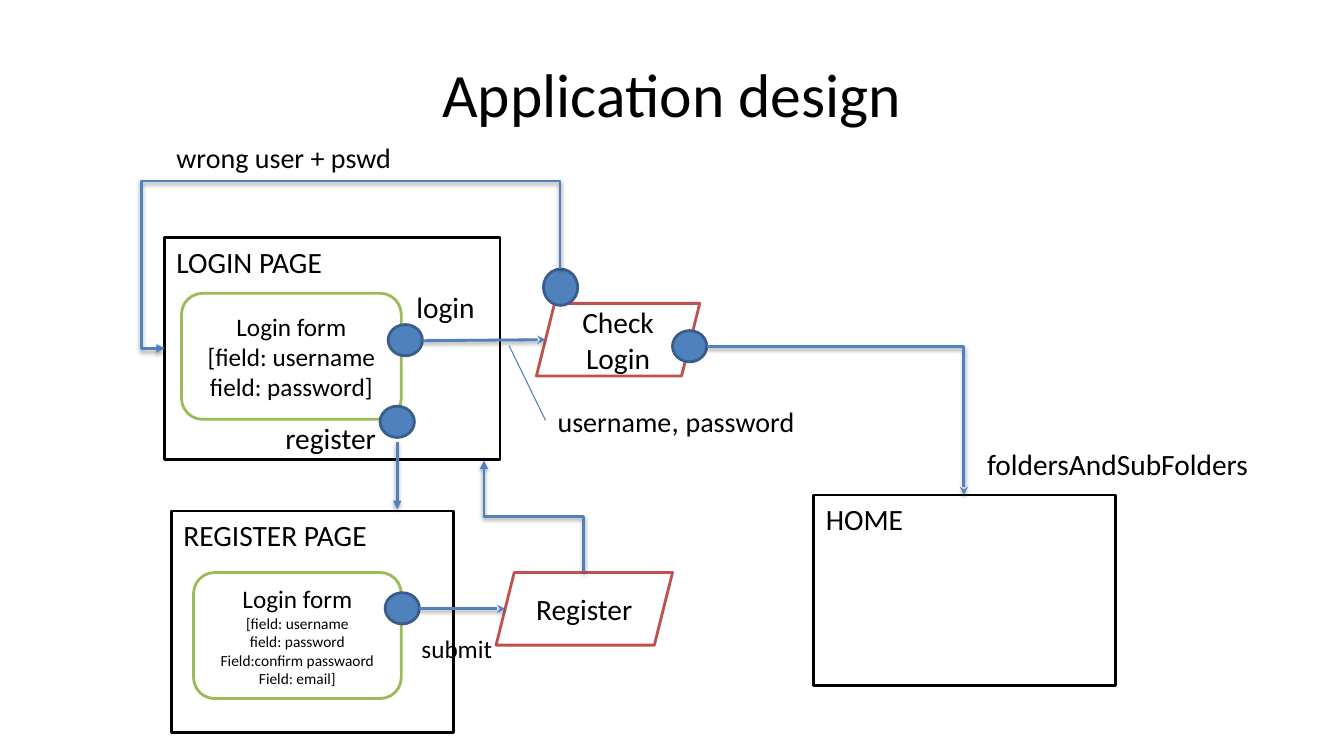
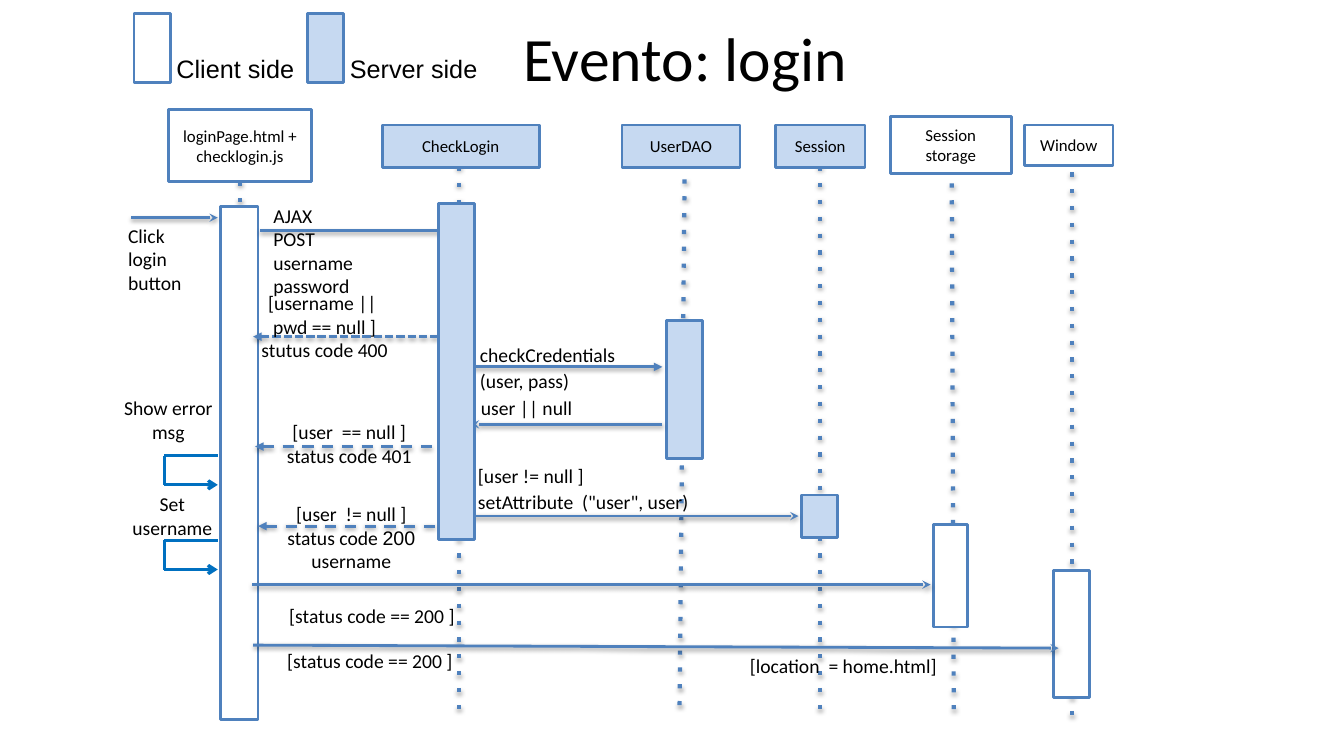
from dataclasses import dataclass
from typing import Any

from lxml.etree import SubElement
from pptx import Presentation
from pptx.dml.color import RGBColor
from pptx.enum.shapes import MSO_CONNECTOR, MSO_SHAPE
from pptx.enum.text import MSO_ANCHOR, PP_ALIGN
from pptx.oxml.ns import qn
from pptx.util import Inches, Pt

COLUMNS, ROWS, CELL = 133.3, 75, Inches(0.1)


@dataclass(frozen=True)
class Theme:
    """Colours, fonts and type sizes shared by the slides."""
    ink: str = "000000"
    paper: str = "FFFFFF"
    blue: str = "4F81BD"
    blue_edge: str = "395E89"
    blue_thin: str = "4A7DBA"
    server: str = "C6D9F1"
    green: str = "9BBB59"
    red: str = "C0504D"
    loop: str = "0070C0"
    font: str = "Calibri"
    legend_font: str = "Arial"
    title: int = 44
    page: int = 21
    note: int = 20
    form: int = 18
    message: int = 14
    head: int = 12
    detail: int = 11
    stroke: float = 2


@dataclass(frozen=True)
class Area:
    """A box on the slide grid that holds parts."""
    shapes: Any
    left: float
    top: float
    width: float
    height: float

    def inner(self, left, top, width, height):
        """Return a box placed relative to this one."""
        return Area(self.shapes, self.left + left, self.top + top, width, height)

    def point(self, x, y):
        """Return a relative grid point as slide lengths."""
        return round((self.left + x) * CELL), round((self.top + y) * CELL)

    def bounds(self):
        """Return position and size as slide lengths."""
        return *self.point(0, 0), round(self.width * CELL), round(self.height * CELL)


@dataclass(frozen=True)
class Span:
    """A piece of text with its own size or font."""
    text: str
    size: float = 0
    font: str = ""


THEME = Theme()


def rgb(colour):
    """Turn a hex string into a colour."""
    return RGBColor.from_string(colour)


def write(shape, paragraphs, size, align=PP_ALIGN.LEFT, anchor=MSO_ANCHOR.TOP, font=THEME.font, gap=0):
    """Fill a shape with paragraphs, run by run."""
    frame = shape.text_frame
    frame.word_wrap = True
    frame.vertical_anchor = anchor
    frame.margin_left = frame.margin_right = Inches(0.12)
    frame.margin_top = frame.margin_bottom = Inches(0.06)
    for index, content in enumerate(paragraphs):
        paragraph = frame.add_paragraph() if index else frame.paragraphs[0]
        paragraph.alignment = align
        paragraph.space_after = Pt(gap)
        for span in [Span(content)] if isinstance(content, str) else content:
            run = paragraph.add_run()
            run.text = span.text
            run.font.size = Pt(span.size or size)
            run.font.name = span.font or font
            run.font.color.rgb = rgb(THEME.ink)


def label(area, paragraphs, size, **style):
    """Place free text in the area."""
    write(area.shapes.add_textbox(*area.bounds()), paragraphs, size, **style)


def block(area, preset, fill, edge, paragraphs=(), size=THEME.page,
          align=PP_ALIGN.CENTER, anchor=MSO_ANCHOR.MIDDLE):
    """Fill the area with an outlined shape and its text."""
    shape = area.shapes.add_shape(preset, *area.bounds())
    shape.shadow.inherit = False
    shape.fill.solid()
    shape.fill.fore_color.rgb = rgb(fill)
    shape.line.color.rgb = rgb(edge)
    shape.line.width = Pt(THEME.stroke)
    write(shape, paragraphs, size, align, anchor)


def line(area, start, end, colour=THEME.blue, width=THEME.stroke, dash="", head="", tail="",
         shadow=True, kind=MSO_CONNECTOR.STRAIGHT):
    """Draw a connector between two points of the area."""
    connector = area.shapes.add_connector(kind, *area.point(*start), *area.point(*end))
    connector.line.color.rgb = rgb(colour)
    connector.line.width = Pt(width)
    properties = connector._element.spPr
    stroke = properties.find(qn("a:ln"))
    if dash:
        SubElement(stroke, qn("a:prstDash"), val=dash)
    for tag, arrow in (("a:headEnd", head), ("a:tailEnd", tail)):
        if arrow:
            SubElement(stroke, qn(tag), type=arrow)
    effects = SubElement(properties, qn("a:effectLst"))
    if shadow:
        outer = SubElement(effects, qn("a:outerShdw"), blurRad="40000", dist="20000",
                           dir="5400000", rotWithShape="0")
        tint = SubElement(outer, qn("a:srgbClr"), val=THEME.ink)
        SubElement(tint, qn("a:alpha"), val="38000")
    return connector


def elbow(area, start, end, bends, tail, turn=0, adjustments=()):
    """Draw a bent connector, turned by whole degrees."""
    connector = line(area, start, end, tail=tail, kind=MSO_CONNECTOR.ELBOW)
    properties = connector._element.spPr
    properties.find(qn("a:xfrm")).set("rot", str(turn * 60000))
    geometry = properties.find(qn("a:prstGeom"))
    geometry.set("prst", f"bentConnector{bends}")
    for number, share in enumerate(adjustments, 1):
        SubElement(geometry.find(qn("a:avLst")), qn("a:gd"), name=f"adj{number}",
                   fmla=f"val {round(share * 100000)}")


def title(area, text):
    """Write the centred slide title."""
    label(area, [text], THEME.title, align=PP_ALIGN.CENTER, anchor=MSO_ANCHOR.MIDDLE)


def page(area, name):
    """Draw a page frame with its name at the top left."""
    block(area, MSO_SHAPE.RECTANGLE, THEME.paper, THEME.ink, [name],
          align=PP_ALIGN.LEFT, anchor=MSO_ANCHOR.TOP)


def form(area, paragraphs):
    """Draw a rounded input form."""
    block(area, MSO_SHAPE.ROUNDED_RECTANGLE, THEME.paper, THEME.green, paragraphs, THEME.form)


def action(area, paragraphs):
    """Draw a server action."""
    block(area, MSO_SHAPE.PARALLELOGRAM, THEME.paper, THEME.red, paragraphs)


def event(area, left, top, height=3.1):
    """Draw an event dot."""
    block(area.inner(left, top, 3.4, height), MSO_SHAPE.OVAL, THEME.blue, THEME.blue_edge)


def login_page(area):
    """Draw the login page with its form and two events."""
    page(area, "LOGIN PAGE")
    form(area.inner(1.7, 5.5, 21.8, 12.5), ["Login form", "[field: username", "field: password]"])
    event(area, 22.2, 8.6)
    event(area, 21.4, 16.7)
    label(area.inner(23.8, 4.5, 9.9, 4), ["login"], THEME.page)
    label(area.inner(10.8, 17.5, 13.7, 4.5), ["register"], THEME.page)


def register_page(area):
    """Draw the register page with its form and event."""
    page(area, "REGISTER PAGE")
    fields = ["[field: username", "field: password", "Field:confirm passwaord", "Field: email]"]
    form(area.inner(2.2, 6.1, 20.6, 12.5),
         ["Login form", *([Span(field, THEME.detail)] for field in fields)])
    event(area, 21.2, 8.1)
    label(area.inner(23.6, 11.5, 9.9, 4), ["submit"], THEME.form)


def check_action(area):
    """Draw the login check with its two outcomes."""
    action(area, ["Check", "Login"])
    event(area, 13.5, 2.7)
    event(area, 0.7, -3.4, 3.6)


def flows(area):
    """Draw the arrows between pages and actions, with their data."""
    line(area, (50.5, 34.3), (54.1, 41.7), THEME.blue_thin, 0.75, shadow=False)
    line(area, (41.9, 33.8), (54.1, 33.7), tail="stealth")
    line(area, (41.6, 60.4), (50.1, 60.4), tail="stealth")
    line(area, (39.4, 43.9), (39.4, 50.5), tail="triangle")
    elbow(area, (70.1, 34.4), (95.6, 49.1), 2, "stealth")
    elbow(area, (39.9, 50.2), (32, 11), 4, "triangle", 270, (-1.1, 1.06))
    elbow(area, (47.4, 56.2), (58.5, 46.3), 3, "triangle", 270)
    label(area.inner(16.3, 13.3, 29.5, 4), ["wrong user + pswd"], THEME.note)
    label(area.inner(54.1, 39.4, 25.9, 4.5),
          [[Span("username"), Span(", ", THEME.page), Span("password")]], THEME.note)
    label(area.inner(96.7, 43.7, 31.2, 4), ["foldersAndSubFolders"], THEME.page)


def design_slide(area):
    """Build the map of pages and actions."""
    title(area.inner(17.9, 3, 97.5, 12.5), "Application design")
    login_page(area.inner(16.3, 23.6, 33.3, 22))
    page(area.inner(80.7, 49.1, 29.9, 18.9), "HOME")
    check_action(area.inner(53.2, 30.1, 16.2, 7.2))
    register_page(area.inner(17, 50.7, 28, 22))
    action(area.inner(49.2, 56.8, 17.5, 7.2), ["Register"])
    flows(area)


def legend(area):
    """Explain the two fills."""
    for left, fill, name in ((0, THEME.paper, "Client side"), (17.2, THEME.server, "Server side")):
        block(area.inner(left, 0, 3.6, 6.9), MSO_SHAPE.RECTANGLE, fill, THEME.blue)
        label(area.inner(left + 3, 3.4, 15.5, 4), [name], THEME.form, font=THEME.legend_font)


def participants(area):
    """Draw each dotted lifeline and the head above it."""
    client, server = THEME.paper, THEME.server
    for name, fill, box, start, end in (
            ("loginPage.html + checklogin.js", client, (5.7, 0, 14.2, 7.1), (12.8, 7.1), (12.8, 55.5)),
            ("CheckLogin", server, (26.9, 1.5, 15.6, 4.2), (34.5, 5.6), (34.5, 59.4)),
            ("UserDAO", server, (50.7, 1.5, 11.7, 4.2), (56.9, 6.9), (56.4, 59.4)),
            ("Session", server, (65.9, 1.5, 8.9, 4.2), (70.3, 5.6), (70.3, 60.4)),
            ("Session storage", client, (77.3, 0.7, 12, 5.6), (83.4, 7.3), (83.6, 60.4)),
            ("Window", client, (90.6, 1.5, 8.8, 4), (95.3, 6.2), (95.3, 60.4))):
        line(area, start, end, width=3, dash="dot")
        block(area.inner(*box), MSO_SHAPE.RECTANGLE, fill, THEME.blue, [name], THEME.head)


def activation(area, fill):
    """Draw the bar of an active participant."""
    block(area, MSO_SHAPE.RECTANGLE, fill, THEME.blue)


def arrows(area):
    """Draw requests, then dashed replies to the client."""
    for start, end, tail in (((2, 10.7), (10.6, 10.7), "stealth"),
                             ((14.8, 12), (34, 12), "stealth"),
                             ((35.7, 25.5), (54.7, 25.5), "triangle"),
                             ((54.7, 31.2), (35.7, 31.2), "stealth"),
                             ((34.6, 40.3), (68.2, 40.3), "stealth"),
                             ((14, 47.1), (81.3, 47.1), "stealth"),
                             ((14.1, 53.1), (94, 53.4), "stealth")):
        line(area, start, end, tail=tail)
    for left, row, right, dash in ((14.1, 22.5, 33.7, "sysDash"), (14.3, 33.4, 34, "dash"),
                                   (14.6, 41.3, 34, "dash")):
        line(area, (left, row), (right, row), dash=dash, head="triangle")


def messages(area):
    """Write the text beside each arrow."""
    for box, paragraphs, gap in (
            ((14.9, 8.7, 10.8, 6.8), ["AJAX POST username password"], 0),
            ((0.5, 10.7, 8.6, 10.8), ["Click", "login", "button"], 0),
            ((35.4, 22.5, 19, 5.3), ["checkCredentials", "(user, pass)"], 2),
            ((35.5, 27.8, 13.5, 4), ["user || null"], 0),
            ((35.2, 34.5, 36.9, 6.3), ["[user != null ]", "setAttribute  (\"user\", user)"], 2)):
        label(area.inner(*box), paragraphs, THEME.message, gap=gap)
    success = [Span("status code "), Span("200", font=THEME.legend_font)]
    for box, paragraphs in (
            ((13.1, 17.4, 16.2, 5.1), ["[username || ", "pwd == null ]", "stutus code 400"]),
            ((15.5, 30.2, 16.3, 5.1), ["[user  == null ]", "status code 401"]),
            ((15.5, 38.3, 16.7, 7.1), ["[user  != null ]", success, "username"]),
            ((14.7, 48.4, 22.4, 3.7), ["[status code == 200 ]"]),
            ((14.5, 52.9, 22.4, 3.7), ["[status code == 200 ]"]),
            ((59.6, 53.4, 26.1, 3.3), ["[location  = home.html]"]),
            ((-0.3, 27.8, 12, 6.1), ["Show error msg"]),
            ((0.1, 37.3, 12, 6.1), ["Set username"])):
        label(area.inner(*box), paragraphs, THEME.message, align=PP_ALIGN.CENTER)


def self_call(area):
    """Draw a grouped loop that leaves and re-enters the client."""
    group = area.shapes.add_group_shape()
    loop = Area(group.shapes, area.left, area.top, area.width, area.height)
    corners = [(loop.width, 0), (0, 0), (0, loop.height), (loop.width, loop.height)]
    for start, end, tail in zip(corners, corners[1:], ("", "", "arrow")):
        line(loop, start, end, THEME.loop, 2.25, tail=tail, shadow=False)


def sequence(area):
    """Draw the sequence diagram of the login event."""
    participants(area)
    for box, fill in (((10.9, 9.6, 3.7, 50.9), THEME.paper), ((55.1, 20.9, 3.6, 13.7), THEME.server),
                      ((68.5, 38.2, 3.6, 4.2), THEME.server), ((81.6, 41.1, 3.4, 10.2), THEME.paper),
                      ((93.5, 45.7, 3.6, 12.6), THEME.paper)):
        activation(area.inner(*box), fill)
    arrows(area)
    messages(area)
    activation(area.inner(32.5, 9.3, 3.6, 33.3), THEME.server)
    for row in (34.3, 42.7):
        self_call(area.inner(5.3, row, 5.3, 2.9))


def sequence_slide(area):
    """Build the login event slide."""
    title(area.inner(19.2, 0.1, 97.5, 11), "Evento: login")
    legend(area.inner(13.3, 1.3, 36, 7.5))
    sequence(area.inner(11, 10.9, 104, 61))


def main():
    """Build and save the presentation."""
    presentation = Presentation()
    presentation.slide_width, presentation.slide_height = round(COLUMNS * CELL), ROWS * CELL
    for build in (design_slide, sequence_slide):
        slide = presentation.slides.add_slide(presentation.slide_layouts[6])
        build(Area(slide.shapes, 0, 0, COLUMNS, ROWS))
    presentation.save("out.pptx")


if __name__ == "__main__":
    main()
